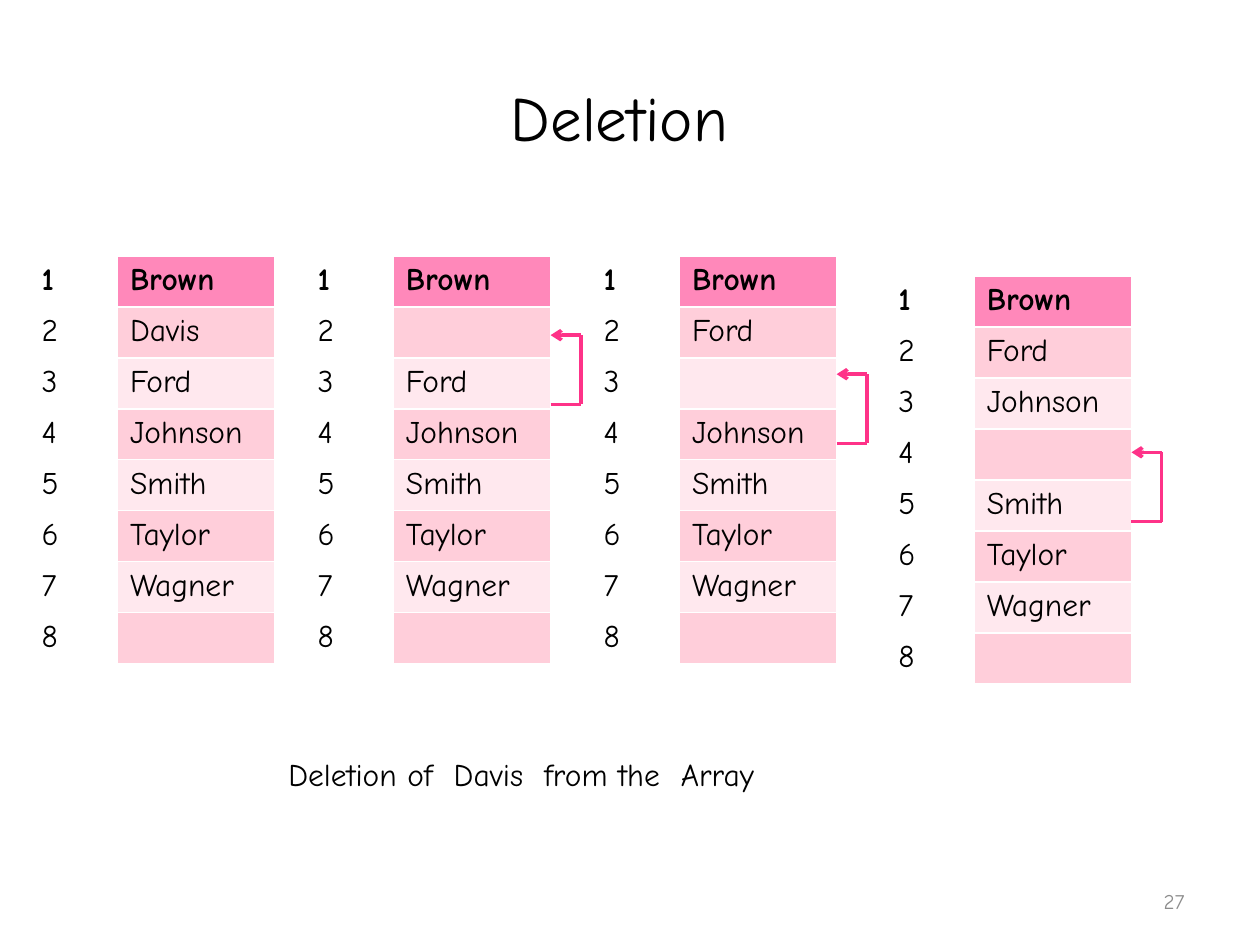
import dataclasses

import lxml.etree
import pptx
import pptx.dml.color
import pptx.enum.shapes
import pptx.enum.text
import pptx.oxml.ns
import pptx.util

WIDTH, HEIGHT = pptx.util.Inches(10), pptx.util.Inches(7.5)
GRID_COLUMNS, GRID_ROWS = 100, 75
FONT = "Comic Neue"
BLACK = pptx.dml.color.RGBColor(0x00, 0x00, 0x00)
GREY = pptx.dml.color.RGBColor(0x8C, 0x8C, 0x8C)
HEADER_PINK = pptx.dml.color.RGBColor(0xFF, 0x88, 0xBA)
DARK_BAND = pptx.dml.color.RGBColor(0xFF, 0xCE, 0xDA)
LIGHT_BAND = pptx.dml.color.RGBColor(0xFF, 0xE8, 0xEE)
ARROW_PINK = pptx.dml.color.RGBColor(0xFE, 0x32, 0x88)
ALIGN = pptx.enum.text.PP_ALIGN
ANCHOR = pptx.enum.text.MSO_ANCHOR

ARRAY_SIZE = (19.5, 32.4)
LABEL_SHARE = 0.36
BRACKET_SIZE = (2.4, 5.5)
STAGES = [
    (2.3, 20.3, ["Brown", "Davis", "Ford", "Johnson", "Smith", "Taylor", "Wagner", ""], None),
    (24.2, 20.3, ["Brown", "", "Ford", "Johnson", "Smith", "Taylor", "Wagner", ""], 26.6),
    (46.9, 20.3, ["Brown", "Ford", "", "Johnson", "Smith", "Taylor", "Wagner", ""], 29.7),
    (70.3, 21.9, ["Brown", "Ford", "Johnson", "", "Smith", "Taylor", "Wagner", ""], 35.9),
]


@dataclasses.dataclass
class Box:
    """Hold a region in grid columns and rows."""
    left: float
    top: float
    width: float
    height: float

    def lengths(self):
        """Return the region as slide lengths."""
        return (across(self.left), down(self.top), across(self.width), down(self.height))


def across(columns):
    """Turn grid columns into a length."""
    return round(WIDTH * columns / GRID_COLUMNS)


def down(rows):
    """Turn grid rows into a length."""
    return round(HEIGHT * rows / GRID_ROWS)


def write(frame, text, size=18, color=BLACK, bold=False, align=ALIGN.LEFT):
    """Write one formatted paragraph into a text frame."""
    para = frame.paragraphs[0]
    para.alignment = align
    span = para.add_run()
    span.text = text
    span.font.name = FONT
    span.font.size = pptx.util.Pt(size)
    span.font.bold = bold
    span.font.color.rgb = color


def add_label(page, box, text, anchor=ANCHOR.MIDDLE, **style):
    """Place a wrapped text box in the given box."""
    frame = page.shapes.add_textbox(*box.lengths()).text_frame
    frame.word_wrap = True
    frame.vertical_anchor = anchor
    write(frame, text, **style)


def add_array(page, box, names):
    """Place a numbered array as a two-column table."""
    table = page.shapes.add_table(len(names), 2, *box.lengths()).table
    for column, share in zip(table.columns, (LABEL_SHARE, 1 - LABEL_SHARE)):
        column.width = across(box.width * share)
    for index, name in enumerate(names):
        table.rows[index].height = down(box.height / len(names))
        label, value = table.cell(index, 0), table.cell(index, 1)
        label.fill.background()
        value.fill.solid()
        band = DARK_BAND if index % 2 else LIGHT_BAND
        value.fill.fore_color.rgb = band if index else HEADER_PINK
        write(label.text_frame, str(index + 1), bold=index == 0)
        if name:
            write(value.text_frame, name, bold=index == 0)


def add_bracket(page, box):
    """Place a three-part arrow from the box's lower left to its upper left."""
    group = page.shapes.add_group_shape()
    right, bottom = box.left + box.width, box.top + box.height
    corners = [(box.left, bottom), (right, bottom), (right, box.top), (box.left, box.top)]
    for start, end in zip(corners, corners[1:]):
        line = group.shapes.add_connector(
            pptx.enum.shapes.MSO_CONNECTOR.STRAIGHT,
            across(start[0]), down(start[1]), across(end[0]), down(end[1]))
        line.line.color.rgb = ARROW_PINK
        line.line.width = pptx.util.Pt(2)
        properties = line._element.spPr
        lxml.etree.SubElement(properties, pptx.oxml.ns.qn("a:effectLst"))
    outline = line.line._get_or_add_ln()
    lxml.etree.SubElement(outline, pptx.oxml.ns.qn("a:tailEnd"), type="arrow")


def add_stage(page, box, names, bracket_top):
    """Place one deletion step with its optional move arrow."""
    add_array(page, box, names)
    if bracket_top is not None:
        add_bracket(page, Box(box.left + box.width, bracket_top, *BRACKET_SIZE))


def main():
    """Build the deletion slide and save it."""
    deck = pptx.Presentation()
    deck.slide_width, deck.slide_height = WIDTH, HEIGHT
    page = deck.slides.add_slide(deck.slide_layouts[6])
    add_label(page, Box(5, 3, 90, 12.5), "Deletion ", size=36, align=ALIGN.CENTER)
    for left, top, names, bracket_top in STAGES:
        add_stage(page, Box(left, top, *ARRAY_SIZE), names, bracket_top)
    add_label(page, Box(21.9, 59.4, 56.3, 4), "Deletion of  Davis  from the  Array",
              anchor=ANCHOR.TOP)
    add_label(page, Box(71.7, 69.5, 23.3, 4), "27", size=12, color=GREY, align=ALIGN.RIGHT)
    deck.save("out.pptx")


if __name__ == "__main__":
    main()
